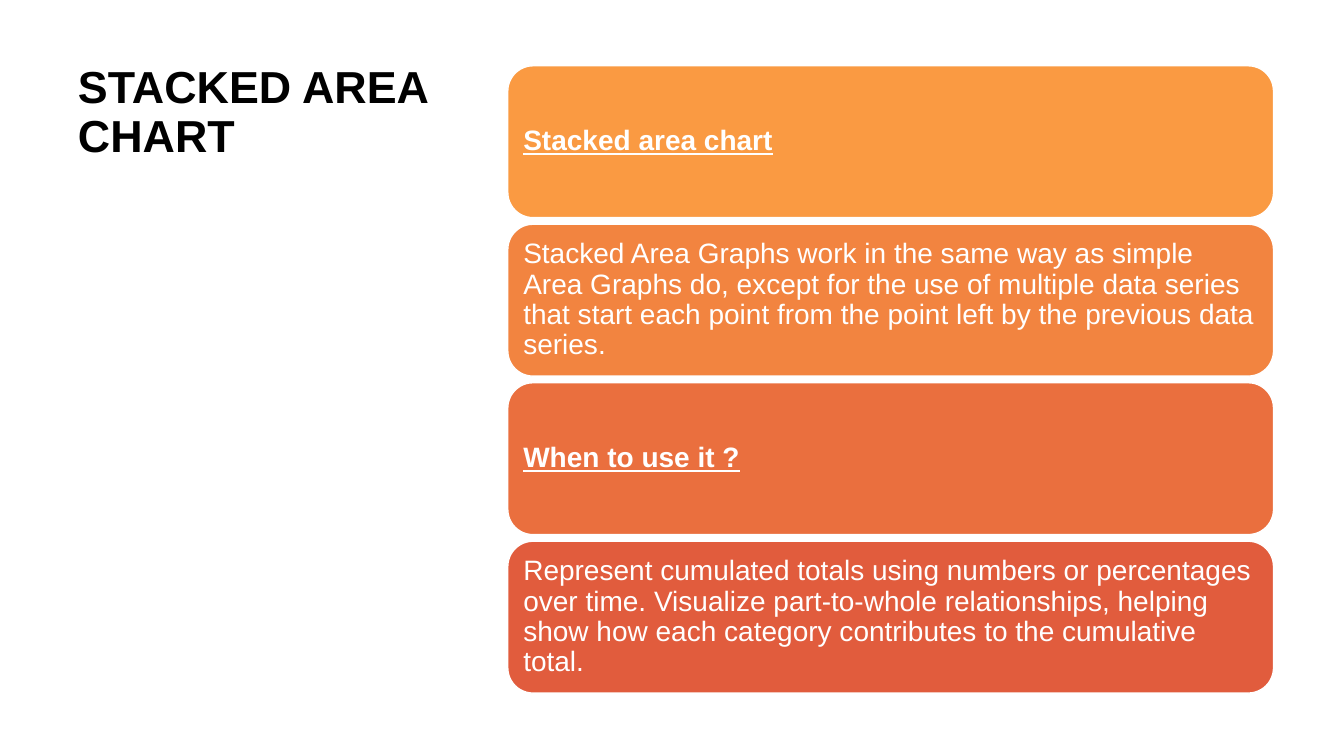
from pptx import Presentation
from pptx.dml.color import RGBColor
from pptx.enum.shapes import MSO_SHAPE
from pptx.enum.text import MSO_ANCHOR, MSO_AUTO_SIZE, PP_ALIGN
from pptx.util import Pt

ROUNDED = MSO_SHAPE.ROUNDED_RECTANGLE
TOP, MIDDLE = MSO_ANCHOR.TOP, MSO_ANCHOR.MIDDLE
LEFT = PP_ALIGN.LEFT
NO_AUTOFIT = MSO_AUTO_SIZE.NONE

CARD_LEFT, CARD_TOP = 362.7, 47
CARD_WIDTH, CARD_HEIGHT = 547, 108.5
CARD_PITCH = 113.2
CARD_INSET = 5.8

CARDS = [
    ("Stacked area chart", "FA9A42", True),
    ("Stacked Area Graphs work in the same way as simple Area Graphs do, "
     "except for the use of multiple data series that start each point "
     "from the point left by the previous data series.", "F28440", False),
    ("When to use it ?", "EA6F3E", True),
    ("Represent cumulated totals using numbers or percentages over time. "
     "Visualize part-to-whole relationships, helping show how each category "
     "contributes to the cumulative total.", "E15C3D", False),
]


def color(hex_value):
    return RGBColor.from_string(hex_value)


def write(frame, text, size, hex_value, bold, underline, anchor):
    frame.word_wrap = True
    frame.auto_size = NO_AUTOFIT
    frame.vertical_anchor = anchor
    paragraph = frame.paragraphs[0]
    paragraph.alignment = LEFT
    paragraph.line_spacing = 0.9
    run = paragraph.add_run()
    run.text = text
    run.font.name = "Arial"
    run.font.size = Pt(size)
    run.font.bold = bold
    run.font.underline = underline
    run.font.color.rgb = color(hex_value)


prs = Presentation()
prs.slide_width, prs.slide_height = Pt(960), Pt(540)
slide = prs.slides.add_slide(prs.slide_layouts[5])

heading = slide.shapes.title
heading.left, heading.top = Pt(48.5), Pt(43)
heading.width, heading.height = Pt(275), Pt(456)
write(heading.text_frame, "STACKED AREA CHART", 32, "000000", True, False, TOP)

for index, (wording, fill, is_question) in enumerate(CARDS):
    card = slide.shapes.add_shape(
        ROUNDED, Pt(CARD_LEFT), Pt(CARD_TOP + index * CARD_PITCH),
        Pt(CARD_WIDTH), Pt(CARD_HEIGHT))
    card.shadow.inherit = False
    card.fill.solid()
    card.fill.fore_color.rgb = color(fill)
    card.line.color.rgb = color("FFFFFF")
    card.line.width = Pt(1)
    frame = card.text_frame
    frame.margin_left = frame.margin_right = Pt(CARD_INSET)
    frame.margin_top = frame.margin_bottom = Pt(CARD_INSET)
    write(frame, wording, 20, "FFFFFF", is_question, is_question, MIDDLE)

prs.save("out.pptx")
